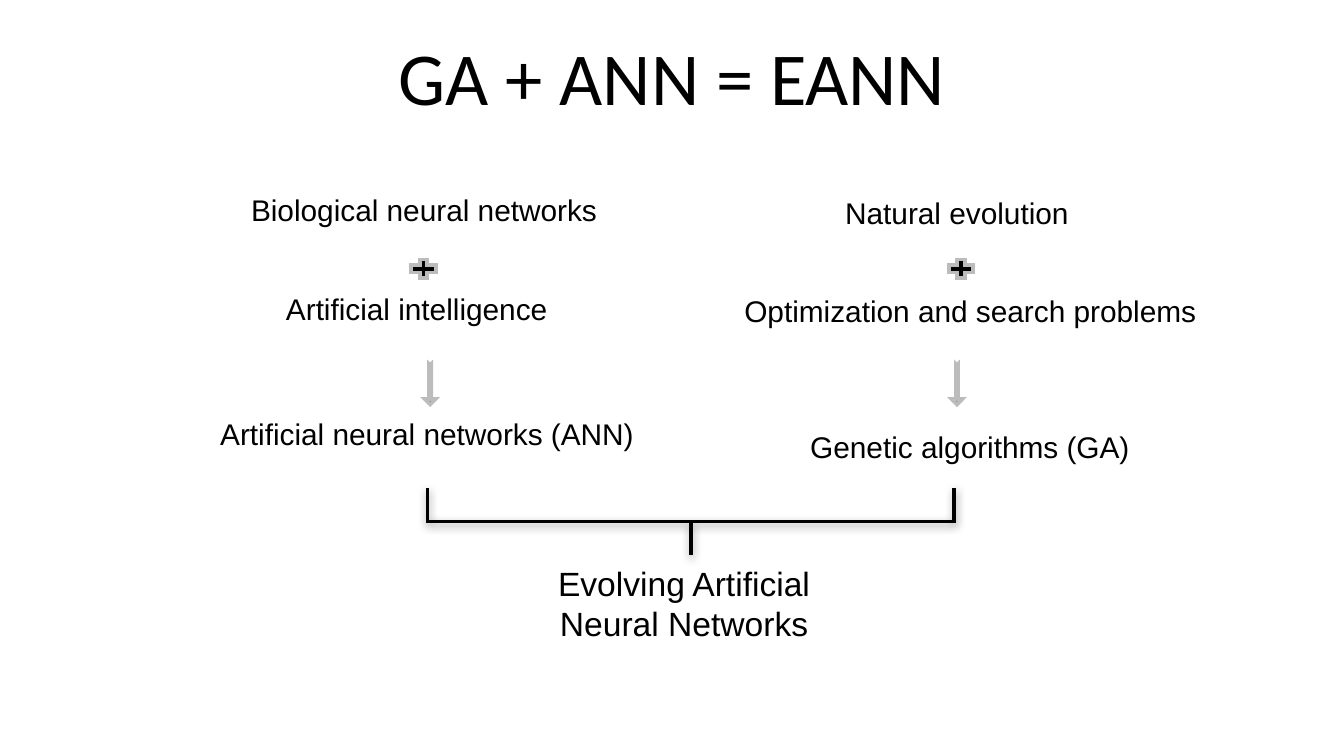
from typing import NamedTuple

from lxml import etree
from pptx import Presentation
from pptx.dml.color import RGBColor
from pptx.enum.shapes import MSO_SHAPE as Shape
from pptx.enum.text import MSO_ANCHOR as Anchor, PP_ALIGN as Align
from pptx.oxml.ns import qn
from pptx.util import Inches, Pt

WIDTH = 10
HEIGHT = WIDTH * 9 / 16
BLACK, GRAY = "000000", "BCBCBC"
LABEL_HEIGHT = 0.28


class Label(NamedTuple):
    text: str
    left: float
    top: float
    width: float


class Branch(NamedTuple):
    """One column: two ideas joined by a plus, and the method they lead to."""
    plus_x: float
    arrow_x: float
    labels: tuple[Label, ...]


BRANCHES = (
    Branch(3.15, 3.2, (
        Label("Biological neural networks", 1.77, 1.38, 2.86),
        Label("Artificial intelligence", 2.03, 2.11, 2.17),
        Label("Artificial neural networks (ANN)", 1.54, 3.04, 3.32),
    )),
    Branch(7.15, 7.12, (
        Label("Natural evolution", 6.19, 1.4, 1.88),
        Label("Optimization and search problems", 5.44, 2.13, 3.61),
        Label("Genetic algorithms (GA)", 5.93, 3.14, 2.61),
    )),
)
PLUS_Y, ARROW_Y, BRACE_Y = 2.0, 2.86, 3.88


def color(value: str) -> RGBColor:
    return RGBColor.from_string(value)


def write(frame, text: str, size: float, font: str, align: Align) -> None:
    frame.text = text
    frame.word_wrap = True
    paragraph = frame.paragraphs[0]
    paragraph.alignment = align
    run_font = paragraph.runs[0].font
    run_font.size, run_font.name = Pt(size), font
    run_font.color.rgb = color(BLACK)


def add_label(slide, label: Label, size: float = 16, align: Align = Align.LEFT) -> None:
    box = slide.shapes.add_textbox(Inches(label.left), Inches(label.top),
                                   Inches(label.width), Inches(LABEL_HEIGHT))
    write(box.text_frame, label.text, size, "Arial", align)


def add_symbol(slide, kind: Shape, center: tuple[float, float],
               size: tuple[float, float], line: str, adjustments: tuple[float, ...],
               rotation: float = 0, fill: str | None = None):
    (x, y), (width, height) = center, size
    symbol = slide.shapes.add_shape(kind, Inches(x - width / 2), Inches(y - height / 2),
                                    Inches(width), Inches(height))
    symbol.rotation = rotation
    symbol.shadow.inherit = False
    for index, value in enumerate(adjustments):
        symbol.adjustments[index] = value
    if fill:
        symbol.fill.solid()
        symbol.fill.fore_color.rgb = color(fill)
    else:
        symbol.fill.background()
    symbol.line.color.rgb = color(line)
    symbol.line.width = Pt(2)
    outline = symbol._element.spPr.find(qn("a:ln"))
    etree.SubElement(outline, qn("a:miter"), lim="800000")
    return symbol


def add_soft_shadow(symbol) -> None:
    effects = symbol._element.spPr.find(qn("a:effectLst"))
    shadow = etree.SubElement(effects, qn("a:outerShdw"), blurRad=str(Pt(5)),
                              dist=str(Pt(1.6)), dir="5400000", rotWithShape="0")
    tint = etree.SubElement(shadow, qn("a:srgbClr"), val=BLACK)
    etree.SubElement(tint, qn("a:alpha"), val="38000")


def add_branch(slide, branch: Branch) -> None:
    for label in branch.labels:
        add_label(slide, label)
    add_symbol(slide, Shape.MATH_PLUS, (branch.plus_x, PLUS_Y), (0.25, 0.19),
               GRAY, (0.29,), fill=BLACK)
    add_symbol(slide, Shape.NOTCHED_RIGHT_ARROW, (branch.arrow_x, ARROW_Y), (0.3, 0.08),
               GRAY, (0.19, 0.5), rotation=90, fill=BLACK)


def main() -> None:
    deck = Presentation()
    deck.slide_width, deck.slide_height = Inches(WIDTH), Inches(HEIGHT)
    slide = deck.slides.add_slide(deck.slide_layouts[5])

    title = slide.shapes.title
    title.left, title.top = Inches(0.05 * WIDTH), Inches(0.19)
    title.width, title.height = Inches(0.9 * WIDTH), Inches(0.75)
    title.text_frame.vertical_anchor = Anchor.MIDDLE
    write(title.text_frame, "GA + ANN = EANN", 40, "Calibri", Align.CENTER)

    for branch in BRANCHES:
        add_branch(slide, branch)

    left_x, right_x = (branch.arrow_x for branch in BRANCHES)
    brace = add_symbol(slide, Shape.RIGHT_BRACE, ((left_x + right_x) / 2 - 0.02, BRACE_Y),
                       (0.5, right_x - left_x), BLACK, (0, 0.5), rotation=90)
    add_soft_shadow(brace)
    add_label(slide, Label("Evolving Artificial Neural Networks", 3.74, 4.14, 2.7),
              18, Align.CENTER)

    deck.save("out.pptx")


if __name__ == "__main__":
    main()
